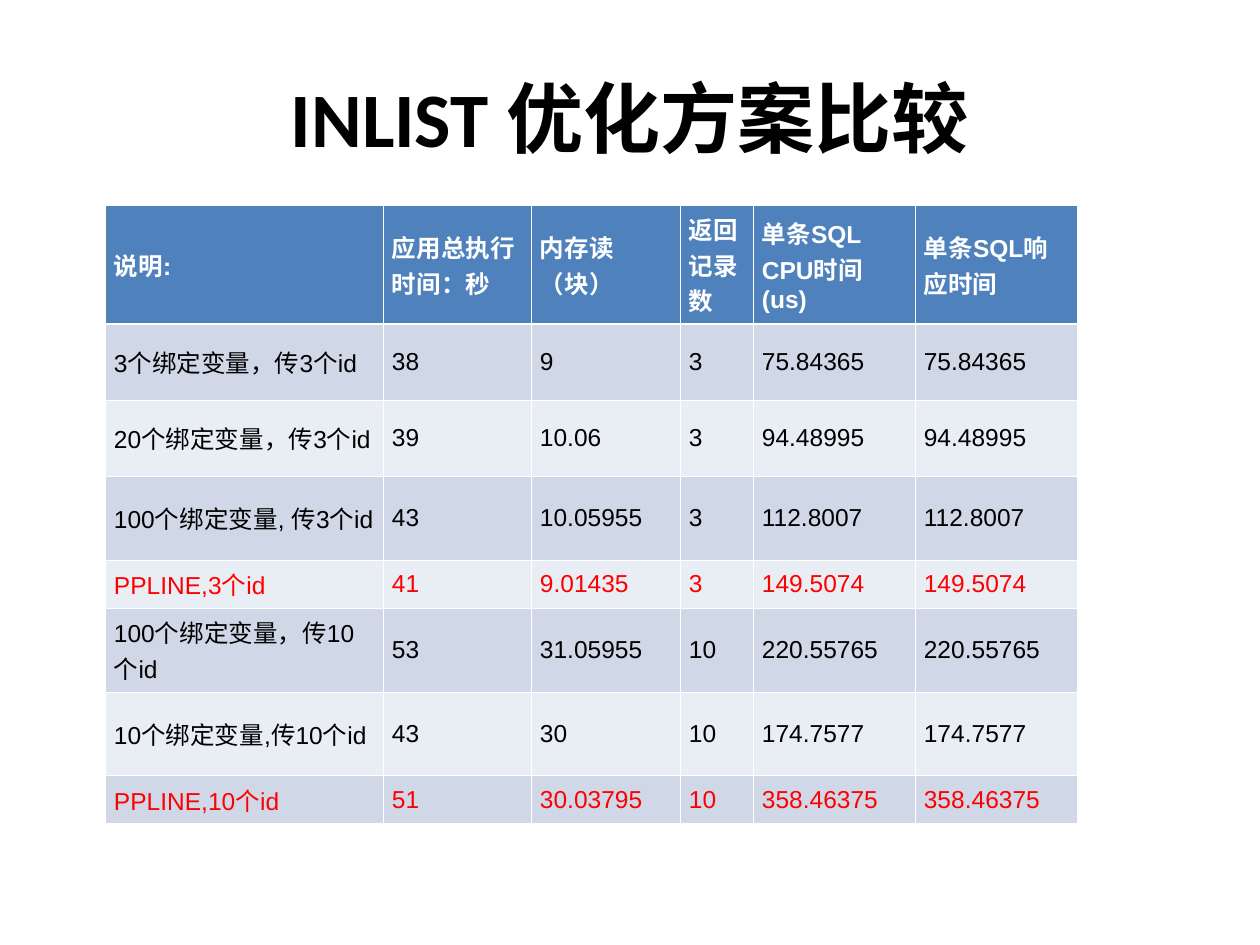
from itertools import groupby

from lxml import etree
from pptx import Presentation
from pptx.dml.color import RGBColor
from pptx.enum.text import MSO_ANCHOR, PP_ALIGN
from pptx.oxml.ns import qn
from pptx.util import Pt

MIDDLE = MSO_ANCHOR.MIDDLE
CENTER = PP_ALIGN.CENTER

PX = 914400 // 126
WHITE = RGBColor(0xFF, 0xFF, 0xFF)
BLACK = RGBColor(0x00, 0x00, 0x00)
RED = RGBColor(0xFF, 0x00, 0x00)
HEADER_BLUE = RGBColor(0x4F, 0x81, 0xBD)
BANDS = (RGBColor(0xD0, 0xD8, 0xE8), RGBColor(0xE9, 0xED, 0xF4))

LATIN_FONT = "Arial"
CHINESE_FONT = "Noto Sans CJK SC"
TITLE_FONT = "Calibri"
THIN, THICK = 0.45, 1.47

TITLE = "INLIST 优化方案比较"
HEADER = ("说明:", "应用总执行时间：秒", "内存读（块）", "返回记录数",
          "单条SQL CPU时间(us)", "单条SQL响应时间")
# Description, total seconds, blocks read, records, time per SQL (CPU = response)
RESULTS = (
    ("3个绑定变量，传3个id", "38", "9", "3", "75.84365"),
    ("20个绑定变量，传3个id", "39", "10.06", "3", "94.48995"),
    ("100个绑定变量, 传3个id", "43", "10.05955", "3", "112.8007"),
    ("PPLINE,3个id", "41", "9.01435", "3", "149.5074"),
    ("100个绑定变量，传10个id", "53", "31.05955", "10", "220.55765"),
    ("10个绑定变量,传10个id", "43", "30", "10", "174.7577"),
    ("PPLINE,10个id", "51", "30.03795", "10", "358.46375"),
)
COLUMN_WIDTHS = (278, 148, 149, 73, 162, 162)
ROW_HEIGHTS = (119, 76, 76, 84, 48, 84, 84, 48)
TABLE_LEFT, TABLE_TOP = 105, 205
TITLE_BOX = (63, 38, 1134, 157)


def is_chinese(character):
    return ord(character) > 0x2E80


def add_run(paragraph, text, font_name, size, color, bold):
    run = paragraph.add_run()
    run.text = text
    run.font.name = font_name
    run.font.size = Pt(size)
    run.font.bold = bold
    run.font.color.rgb = color
    etree.SubElement(run.font._element, qn("a:ea"), typeface=CHINESE_FONT)


def add_mixed_runs(paragraph, text, color, bold):
    """Split the text so that Chinese and Latin parts get their own font."""
    for chinese, characters in groupby(text, is_chinese):
        font_name = CHINESE_FONT if chinese else LATIN_FONT
        add_run(paragraph, "".join(characters), font_name, 14, color, bold)


def set_borders(cell, top, bottom):
    properties = cell._tc.get_or_add_tcPr()
    for side, width in (("L", THIN), ("R", THIN), ("T", top), ("B", bottom)):
        line = etree.SubElement(properties, qn(f"a:ln{side}"), w=str(Pt(width)))
        fill = etree.SubElement(line, qn("a:solidFill"))
        etree.SubElement(fill, qn("a:srgbClr"), val=str(WHITE))


def fill_cell(cell, text, row_index, color, background):
    cell.vertical_anchor = MIDDLE
    cell.margin_left = cell.margin_right = 9 * PX
    cell.margin_top = cell.margin_bottom = 6 * PX
    set_borders(cell, THICK if row_index == 1 else THIN,
                THICK if row_index == 0 else THIN)
    cell.fill.solid()
    cell.fill.fore_color.rgb = background
    add_mixed_runs(cell.text_frame.paragraphs[0], text, color, row_index == 0)


def add_title(slide):
    box = slide.shapes.add_textbox(*(value * PX for value in TITLE_BOX))
    frame = box.text_frame
    frame.word_wrap = True
    frame.vertical_anchor = MIDDLE
    paragraph = frame.paragraphs[0]
    paragraph.alignment = CENTER
    add_run(paragraph, TITLE, TITLE_FONT, 44, BLACK, True)


def add_comparison_table(slide):
    rows = [HEADER] + [result + result[-1:] for result in RESULTS]
    table = slide.shapes.add_table(
        len(rows), len(HEADER), TABLE_LEFT * PX, TABLE_TOP * PX,
        sum(COLUMN_WIDTHS) * PX, sum(ROW_HEIGHTS) * PX).table
    for column, width in zip(table.columns, COLUMN_WIDTHS):
        column.width = width * PX
    for row, height in zip(table.rows, ROW_HEIGHTS):
        row.height = height * PX

    for row_index, texts in enumerate(rows):
        if row_index == 0:
            color, background = WHITE, HEADER_BLUE
        else:
            color = RED if texts[0].startswith("PPLINE") else BLACK
            background = BANDS[(row_index - 1) % 2]
        for column_index, text in enumerate(texts):
            fill_cell(table.cell(row_index, column_index), text, row_index,
                      color, background)


def main():
    presentation = Presentation()
    presentation.slide_width = 1260 * PX
    presentation.slide_height = 945 * PX
    slide = presentation.slides.add_slide(presentation.slide_layouts[6])
    add_title(slide)
    add_comparison_table(slide)
    presentation.save("out.pptx")


if __name__ == "__main__":
    main()
